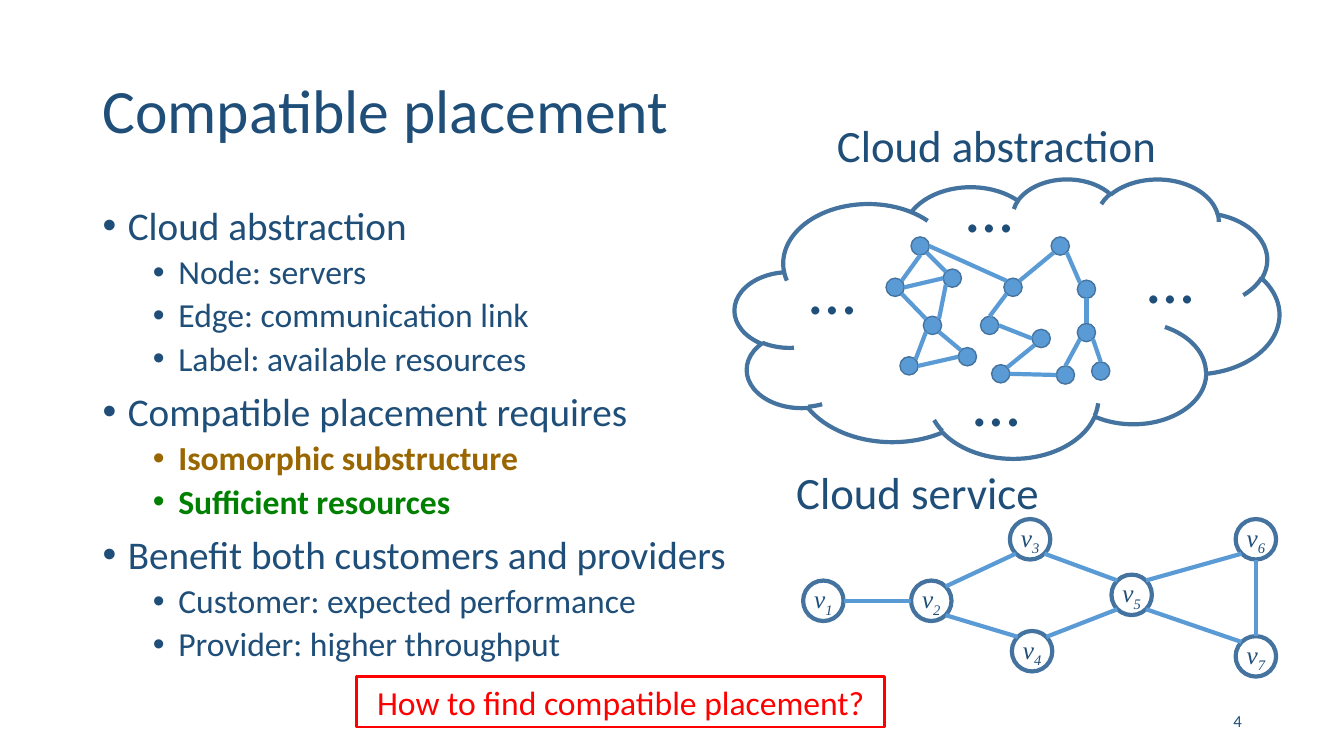
from pptx import Presentation
from pptx.dml.color import RGBColor
from pptx.enum import shapes, text
from pptx.oxml.ns import qn
from pptx.util import Cm, Pt
from lxml import etree

COLORS = {"navy": "1F4E79", "outline": "43739E", "blue": "5B9BD5",
          "brown": "996600", "green": "008000", "red": "FF0000"}

# Content: (level, wording, colour)
TITLE = "Compatible placement"
BULLETS = [
    (0, "Cloud abstraction", "navy"),
    (1, "Node: servers", "navy"),
    (1, "Edge: communication link", "navy"),
    (1, "Label: available resources", "navy"),
    (0, "Compatible placement requires", "navy"),
    (1, "Isomorphic substructure", "brown"),
    (1, "Sufficient resources", "green"),
    (0, "Benefit both customers and providers", "navy"),
    (1, "Customer: expected performance", "navy"),
    (1, "Provider: higher throughput", "navy"),
]
QUESTION = "How to find compatible placement?"
PAGE_NUMBER = "4"

# Labels: wording, (left, top, width, height) in cm, size in points
HEADINGS = [
    ("Cloud abstraction", (20.44, 2.85, 9.35, 1.63), 32),
    ("Cloud service", (19.75, 11.58, 6.75, 1.63), 32),
]
DOTS = [(23.47, 4.04), (28.02, 5.84), (19.51, 6.12), (23.65, 8.92)]

# Graphs: node centres in cm; edges as (node, side, node, side)
SERVERS = {
    1: (23.19, 6.2), 2: (22.56, 7.24), 3: (24, 7.01), 4: (23.5, 8.2),
    5: (22.91, 9.22), 6: (24.38, 8.99), 7: (26.72, 6.2), 8: (25.53, 7.24),
    9: (27.38, 7.29), 10: (24.94, 8.2), 11: (26.24, 8.53), 12: (25.22, 9.42),
    13: (26.85, 9.45), 14: (27.74, 9.35), 15: (27.38, 8.38),
}
SERVER_LINKS = [
    (1, "S", 2, "NE"), (1, "SE", 3, "NW"), (2, "E", 3, "W"),
    (2, "SE", 4, "NW"), (3, "SW", 4, "NE"), (4, "SW", 5, "NE"),
    (4, "SE", 6, "NW"), (5, "E", 6, "W"), (1, "E", 8, "NW"),
    (7, "SW", 8, "NE"), (7, "SE", 9, "NW"), (8, "SW", 10, "N"),
    (10, "E", 11, "W"), (11, "SW", 12, "NE"), (12, "E", 13, "W"),
    (9, "S", 15, "N"), (15, "SW", 13, "N"), (15, "SE", 14, "N"),
]
SERVICES = {
    1: (20.75, 15.14), 2: (23.47, 15.14), 3: (25.96, 13.59), 4: (26.01, 16.41),
    5: (28.52, 14.99), 6: (31.65, 13.59), 7: (31.65, 16.54),
}
SERVICE_LINKS = [
    (1, "E", 2, "W"), (2, "NE", 3, "SW"), (4, "NE", 5, "SW"),
    (2, "SE", 4, "NW"), (3, "SE", 5, "NW"), (5, "NE", 6, "SW"),
    (5, "SE", 7, "NW"), (6, "S", 7, "N"),
]
SERVER_RADIUS, SERVICE_RADIUS = 0.23, 0.51
SIDES = {"N": (0, -1), "S": (0, 1), "E": (1, 0), "W": (-1, 0),
         "NE": (0.71, -0.71), "NW": (-0.71, -0.71),
         "SE": (0.71, 0.71), "SW": (-0.71, 0.71)}


def rgb(color):
    return RGBColor.from_string(COLORS[color])


def place(shape, box):
    shape.left, shape.top, shape.width, shape.height = (Cm(value) for value in box)


def style_run(run, size, color="navy", font="Calibri", bold=False):
    run.font.size, run.font.name, run.font.bold = Pt(size), font, bold
    run.font.color.rgb = rgb(color)


def add_label(slide, wording, box, size, align=text.PP_ALIGN.CENTER):
    label = slide.shapes.add_textbox(*(Cm(value) for value in box))
    label.text_frame.word_wrap = True
    label.text_frame.text = wording
    paragraph = label.text_frame.paragraphs[0]
    paragraph.alignment = align
    style_run(paragraph.runs[0], size)
    return label


def add_outline(slide, preset, box, color, width, fill=None):
    shape = slide.shapes.add_shape(preset, *(Cm(value) for value in box))
    shape.shadow.inherit = False
    if fill:
        shape.fill.solid()
        shape.fill.fore_color.rgb = rgb(fill)
    else:
        shape.fill.background()
    shape.line.color.rgb = rgb(color)
    shape.line.width = Pt(width)
    return shape


def add_graph(slide, nodes, links, radius, width, fill=None):
    circles = {}
    for name, (x, y) in nodes.items():
        box = (x - radius, y - radius, 2 * radius, 2 * radius)
        circles[name] = add_outline(slide, shapes.MSO_SHAPE.OVAL, box,
                                    "outline", width, fill)
    for start, start_side, end, end_side in links:
        points = [Cm(centre + radius * offset)
                  for name, side in ((start, start_side), (end, end_side))
                  for centre, offset in zip(nodes[name], SIDES[side])]
        link = slide.shapes.add_connector(shapes.MSO_CONNECTOR.STRAIGHT, *points)
        link.line.color.rgb = rgb("blue")
        link.line.width = Pt(3)
        etree.SubElement(link._element.spPr, qn("a:effectLst"))
    return circles


def fill_title(title):
    place(title, (2.33, 1.01, 29.21, 3.68))
    title.text_frame.text = TITLE
    title.text_frame.vertical_anchor = text.MSO_ANCHOR.MIDDLE
    paragraph = title.text_frame.paragraphs[0]
    paragraph.alignment = text.PP_ALIGN.LEFT
    paragraph.line_spacing = 0.9
    style_run(paragraph.runs[0], 44)


def fill_bullets(body):
    place(body, (2.33, 5.07, 29.21, 12.86))
    frame = body.text_frame
    frame.text = "\n".join(wording for _, wording, _ in BULLETS)
    frame.auto_size = text.MSO_AUTO_SIZE.NONE
    for paragraph, (level, _, color) in zip(frame.paragraphs, BULLETS):
        paragraph.level = level
        paragraph.line_spacing = 0.9
        paragraph.space_before = Pt(5 if level else 10)
        properties = paragraph._p.get_or_add_pPr()
        properties.set("marL", str(Cm(1.91 if level else 0.64)))
        properties.set("indent", str(-Cm(0.64)))
        etree.SubElement(properties, qn("a:buFont"), typeface="Arial")
        etree.SubElement(properties, qn("a:buChar"), char="•")
        style_run(paragraph.runs[0], 24 if level else 28, color,
                  bold=color != "navy")


def name_services(circles):
    for number, circle in circles.items():
        frame = circle.text_frame
        frame.margin_left = frame.margin_right = 0
        frame.margin_top = frame.margin_bottom = 0
        frame.word_wrap = False
        frame.vertical_anchor = text.MSO_ANCHOR.MIDDLE
        paragraph = frame.paragraphs[0]
        paragraph.alignment = text.PP_ALIGN.CENTER
        for wording in ("v", str(number)):
            run = paragraph.add_run()
            run.text = wording
            style_run(run, 18, font="Times New Roman")
            run.font.italic = True
        run._r.get_or_add_rPr().set("baseline", "-25000")


def main():
    presentation = Presentation()
    presentation.slide_width, presentation.slide_height = Cm(33.87), Cm(19.05)
    slide = presentation.slides.add_slide(presentation.slide_layouts[1])

    # Title and list
    fill_title(slide.shapes.title)
    fill_bullets(slide.placeholders[1])

    # Cloud with its servers
    add_outline(slide, shapes.MSO_SHAPE.CLOUD, (18.52, 4.5, 13.72, 7.04), "outline", 3)
    add_graph(slide, SERVERS, SERVER_LINKS, SERVER_RADIUS, 1, "blue")
    for left, top in DOTS:
        add_label(slide, "…", (left, top, 2.95, 2.31), 48)

    # Cloud service graph
    name_services(add_graph(slide, SERVICES, SERVICE_LINKS, SERVICE_RADIUS, 3))
    for heading in HEADINGS:
        add_label(slide, *heading)

    # Closing question and page number
    question = add_outline(slide, shapes.MSO_SHAPE.RECTANGLE,
                           (8.99, 17.04, 13.31, 1.28), "red", 2)
    question.text_frame.text = QUESTION
    question.text_frame.paragraphs[0].alignment = text.PP_ALIGN.CENTER
    style_run(question.text_frame.paragraphs[0].runs[0], 24, "red")
    number = add_label(slide, PAGE_NUMBER, (23.93, 17.65, 7.62, 1.01), 12,
                       text.PP_ALIGN.RIGHT)
    number.text_frame.vertical_anchor = text.MSO_ANCHOR.MIDDLE

    presentation.save("out.pptx")


if __name__ == "__main__":
    main()
